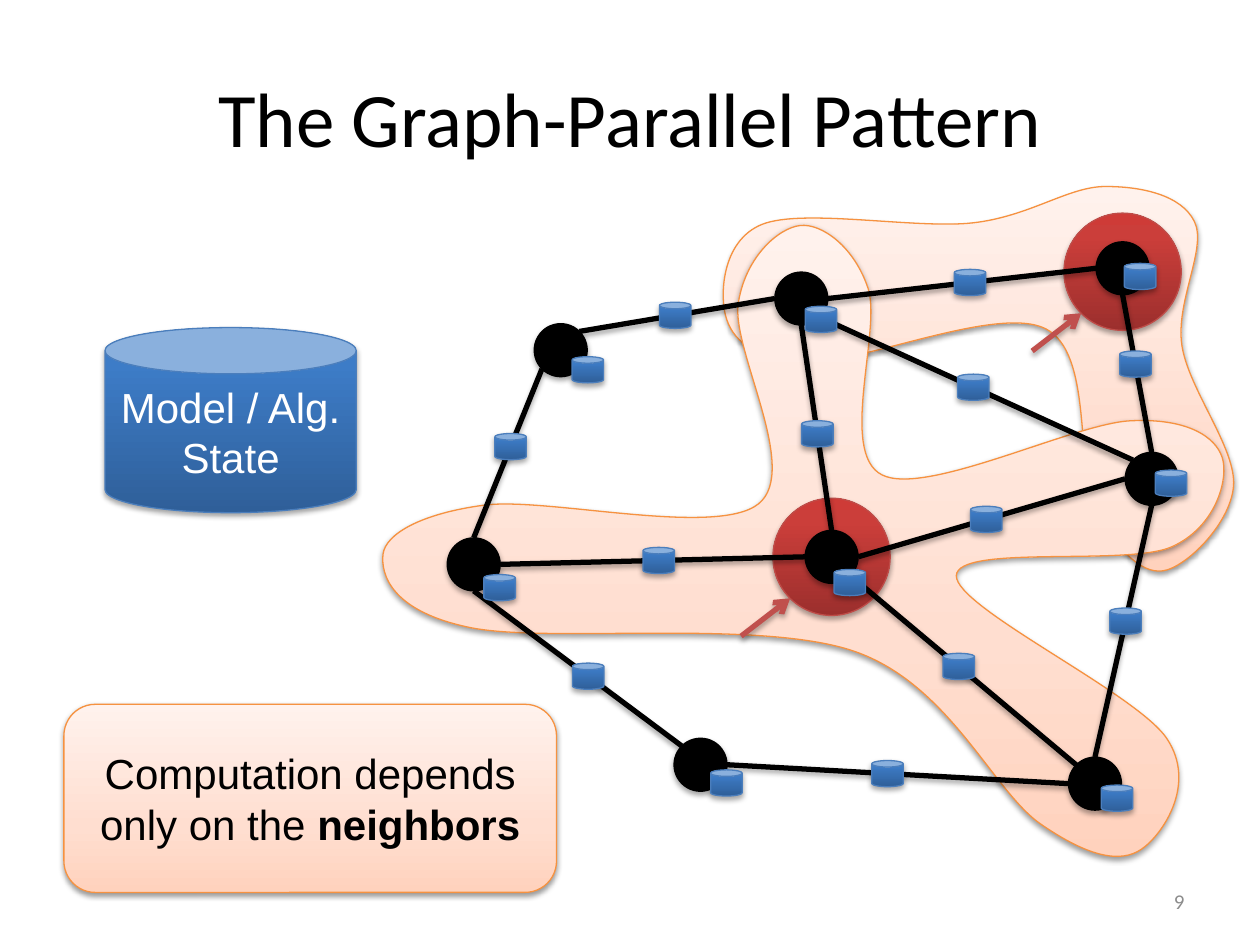
"""Build the slide about the graph-parallel pattern."""
from math import sqrt

from lxml.etree import SubElement
from pptx import Presentation
from pptx.dml.color import RGBColor
from pptx.enum.shapes import MSO_CONNECTOR as CONNECTOR, MSO_SHAPE as SHAPE
from pptx.enum.text import MSO_ANCHOR as ANCHOR, PP_ALIGN as ALIGN
from pptx.oxml.ns import qn
from pptx.util import Pt

rgb = RGBColor.from_string
PEACH = [(0, "FFD2BD"), (35, "FFDED0"), (100, "FFF2ED")]
RED = [(0, "9C2F2D"), (80, "CB3E3A"), (100, "CE3B37")]
BLUE = [(0, "2F5F99"), (80, "3D7CC7"), (100, "3A7CCB")]
BLACK = [(0, "000000"), (100, "000000")]
PEACH_LINE, RED_LINE, BLUE_LINE, ARROW_LINE = "F69240", "BF4C48", "4B7EBC", "C0504D"
PEACH_SHADOW = (38, 1.6)

VERTEX_RADIUS, HALO_RADIUS = 15.15, 33.5
DATA_WIDTH, DATA_HEIGHT = 18, 15
DIAGONAL = sqrt(0.5)
SITES = {
    "N": (0, -1), "S": (0, 1), "W": (-1, 0), "E": (1, 0),
    "NW": (-DIAGONAL, -DIAGONAL), "NE": (DIAGONAL, -DIAGONAL),
    "SW": (-DIAGONAL, DIAGONAL), "SE": (DIAGONAL, DIAGONAL),
}


def style(item, line_color, stops=None, line_width=0.75, shadow=(35, 1.8)):
    item.line.color.rgb = rgb(line_color)
    item.line.width = Pt(line_width)
    properties = item._element.spPr
    if stops:
        item.fill.gradient()
        item.fill.gradient_angle = 90
        stop_list = properties.find(qn("a:gradFill")).find(qn("a:gsLst"))
        stop_list.clear()
        for percent, color in stops:
            stop = SubElement(stop_list, qn("a:gs"), pos=str(percent * 1000))
            SubElement(stop, qn("a:srgbClr"), val=color)
    alpha, distance = shadow
    effects = SubElement(properties, qn("a:effectLst"))
    outer = SubElement(effects, qn("a:outerShdw"), blurRad=str(Pt(3.1)), dist=str(Pt(distance)),
                       dir="5400000", rotWithShape="0")
    shade = SubElement(outer, qn("a:srgbClr"), val="000000")
    SubElement(shade, qn("a:alpha"), val=str(alpha * 1000))


def write(frame, paragraphs, font, size, color, align):
    frame.word_wrap = True
    frame.vertical_anchor = ANCHOR.MIDDLE
    for index, runs in enumerate(paragraphs):
        paragraph = frame.add_paragraph() if index else frame.paragraphs[0]
        paragraph.alignment = align
        for text, bold in runs:
            run = paragraph.add_run()
            run.text = text
            run.font.name = font
            run.font.size = Pt(size)
            run.font.bold = bold
            run.font.color.rgb = rgb(color)


deck = Presentation()
deck.slide_width, deck.slide_height = Pt(720), Pt(540)
slide = deck.slides.add_slide(deck.slide_layouts[5])
shapes = slide.shapes

title = shapes.title
title.left, title.top, title.width, title.height = Pt(36), Pt(21.6), Pt(648), Pt(90)
write(title.text_frame, [[("The Graph-Parallel Pattern", False)]], "Calibri", 44, "000000", ALIGN.CENTER)

vertices = {
    "upper left": (320.4, 200.1),
    "top": (457.9, 170.6),
    "upper right": (641.5, 153.3),
    "left": (270.7, 322.5),
    "hub": (475.2, 318.2),
    "right": (658.1, 273.6),
    "bottom": (400.3, 437),
    "lower right": (625.7, 447.8),
}
vertex_data_offsets = {
    "upper left": (15.5, 11.2),
    "top": (11.2, 11.9),
    "upper right": (10, 4.7),
    "left": (14.8, 13.3),
    "hub": (10.4, 14.7),
    "right": (11.1, 2.5),
    "bottom": (14.8, 10.4),
    "lower right": (12.6, 8.3),
}
edges = [
    ("hub", "N", "top", "S", 0.47),
    ("left", "E", "hub", "W", 0.52),
    ("hub", "E", "right", "W", 0.48),
    ("hub", "SE", "lower right", "NW", 0.48),
    ("bottom", "E", "lower right", "W", 0.47),
    ("top", "W", "upper left", "NE", 0.51),
    ("bottom", "NW", "left", "S", 0.45),
    ("upper left", "SW", "left", "N", 0.46),
    ("lower right", "N", "right", "S", 0.54),
    ("upper right", "S", "right", "N", 0.44),
    ("top", "SE", "right", "NW", 0.49),
    ("upper right", "W", "top", "E", 0.47),
]
upper_right_outline = [
    (631.4, 106.6), (555.8, 127.4), (435.6, 128.2), (415.4, 182.9),
    (463, 206.6), (597.6, 187.9), (625.7, 289.4), (664.6, 326.2),
    (704.9, 277.9), (675.4, 197.3), (682.6, 126.7),
]
hub_outline = [
    (433.4, 288), (421.9, 173.5), (457.2, 128.9), (496.1, 164.9),
    (504, 271.4), (645.8, 240.5), (698.4, 261.4), (669.6, 312.5),
    (546.5, 329), (666.7, 421.9), (652.3, 485.3), (594.7, 470.9),
    (488.2, 372.2), (268.6, 358.6), (218.9, 316.8), (276.5, 288.7),
]
neighborhoods = [("upper right", 2, upper_right_outline), ("hub", 0, hub_outline)]

for vertex, halo_drop, outline in neighborhoods:
    count = len(outline)
    tangents = [tuple((after - before) / 6 for before, after in zip(outline[i - 1], outline[(i + 1) % count]))
                for i in range(count)]
    curve = []
    for i, (x, y) in enumerate(outline):
        following = (i + 1) % count
        (next_x, next_y), (next_dx, next_dy) = outline[following], tangents[following]
        dx, dy = tangents[i]
        curve += [(x + dx, y + dy), (next_x - next_dx, next_y - next_dy), (next_x, next_y)]

    builder = shapes.build_freeform(*map(Pt, outline[0]), scale=1.0)
    builder.add_line_segments([(Pt(x), Pt(y)) for x, y in curve], close=True)
    region = builder.convert_to_shape()
    segments = list(region._element.iter(qn("a:lnTo")))
    for first, *others in zip(segments[::3], segments[1::3], segments[2::3]):
        first.tag = qn("a:cubicBezTo")
        for other in others:
            first.append(other[0])
            other.getparent().remove(other)
    style(region, PEACH_LINE, PEACH, shadow=PEACH_SHADOW)

    halo_x, halo_y = vertices[vertex][0], vertices[vertex][1] + halo_drop
    halo = shapes.add_shape(SHAPE.OVAL, Pt(halo_x - HALO_RADIUS), Pt(halo_y - HALO_RADIUS),
                            Pt(2 * HALO_RADIUS), Pt(2 * HALO_RADIUS))
    style(halo, RED_LINE, RED)

    rim_x, rim_y = halo_x - HALO_RADIUS * DIAGONAL, halo_y + HALO_RADIUS * DIAGONAL
    pointer = shapes.add_connector(CONNECTOR.STRAIGHT, Pt(rim_x - 28), Pt(rim_y + 21.6), Pt(rim_x), Pt(rim_y))
    style(pointer, ARROW_LINE, line_width=3)
    SubElement(pointer.line._get_or_add_ln(), qn("a:tailEnd"), type="arrow")

data_centers = []
for source, source_site, target, target_site, share in edges:
    start, end = [
        [center + VERTEX_RADIUS * step for center, step in zip(vertices[vertex], SITES[site])]
        for vertex, site in [(source, source_site), (target, target_site)]
    ]
    edge = shapes.add_connector(CONNECTOR.STRAIGHT, *map(Pt, start + end))
    style(edge, "000000", line_width=3)
    data_centers.append([a + share * (b - a) for a, b in zip(start, end)])

for vertex, (x, y) in vertices.items():
    dot = shapes.add_shape(SHAPE.OVAL, Pt(x - VERTEX_RADIUS), Pt(y - VERTEX_RADIUS),
                           Pt(2 * VERTEX_RADIUS), Pt(2 * VERTEX_RADIUS))
    style(dot, "000000", BLACK)
    dx, dy = vertex_data_offsets[vertex]
    data_centers.append([x + dx, y + dy])

for x, y in data_centers:
    data = shapes.add_shape(SHAPE.CAN, Pt(x - DATA_WIDTH / 2), Pt(y - DATA_HEIGHT / 2),
                            Pt(DATA_WIDTH), Pt(DATA_HEIGHT))
    style(data, BLUE_LINE, BLUE)

state = shapes.add_shape(SHAPE.CAN, Pt(60), Pt(187.2), Pt(143.6), Pt(105.8))
style(state, BLUE_LINE, BLUE)
write(state.text_frame, [[("Model / Alg.", False)], [("State", False)]], "Arial", 24, "FFFFFF", ALIGN.CENTER)

message = shapes.add_shape(SHAPE.ROUNDED_RECTANGLE, Pt(36.5), Pt(402.5), Pt(281.5), Pt(107.5))
style(message, PEACH_LINE, PEACH, shadow=PEACH_SHADOW)
write(message.text_frame, [[("Computation depends only on the ", False), ("neighbors", True)]],
      "Arial", 24, "000000", ALIGN.CENTER)

page_number = shapes.add_textbox(Pt(516), Pt(500.5), Pt(168), Pt(28.8))
write(page_number.text_frame, [[("9", False)]], "Calibri", 12, "8C8C8C", ALIGN.RIGHT)

deck.save("out.pptx")
